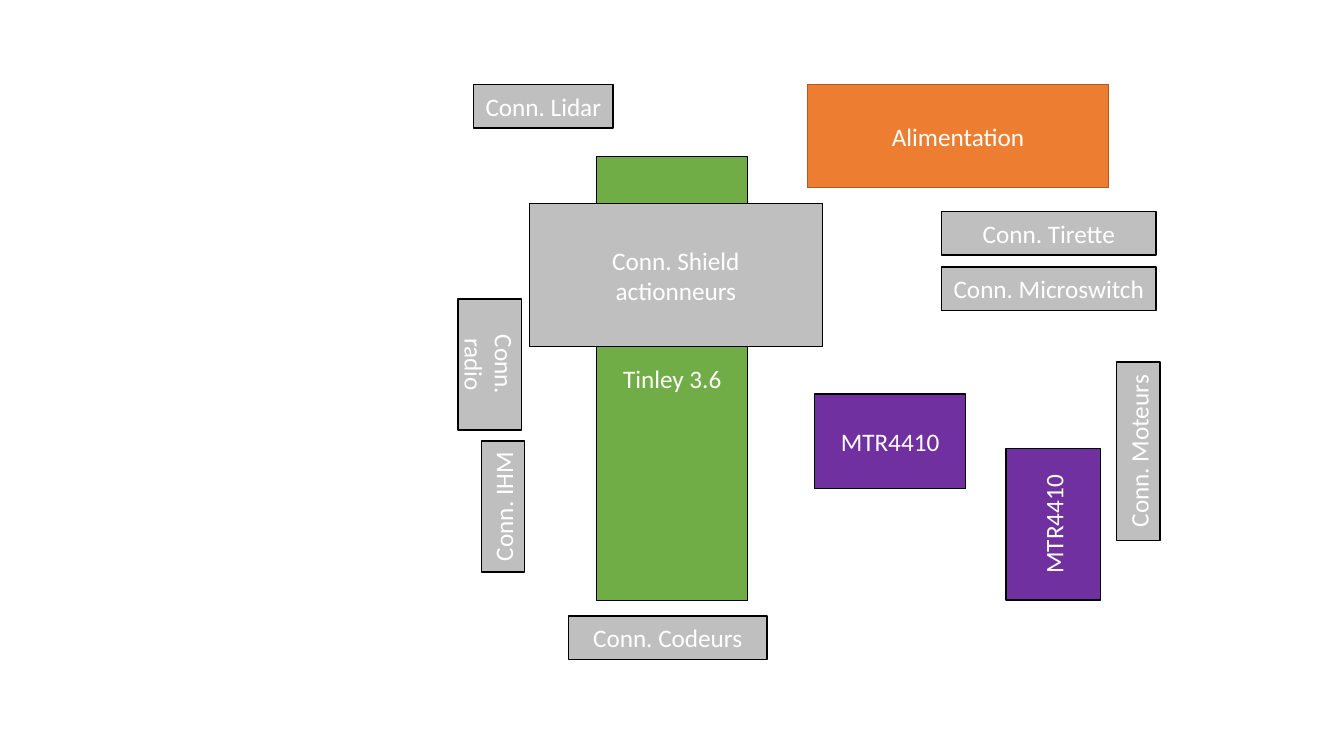
from pptx import Presentation
from pptx.dml.color import RGBColor
from pptx.enum.shapes import MSO_SHAPE
from pptx.enum.text import MSO_ANCHOR, PP_ALIGN
from pptx.util import Pt

BLACK = RGBColor(0x00, 0x00, 0x00)
WHITE = RGBColor(0xFF, 0xFF, 0xFF)
GREEN = RGBColor(0x70, 0xAD, 0x47)
PURPLE = RGBColor(0x70, 0x30, 0xA0)
ORANGE = RGBColor(0xED, 0x7D, 0x31)
DARK_ORANGE = RGBColor(0xAF, 0x5C, 0x24)
GREY = RGBColor(0xBF, 0xBF, 0xBF)

LABEL_FORMAT = {"name": "Calibri", "size": Pt(18)}
DRIVER_SIZE = (108, 67.7)
CONNECTOR_HEIGHT = 31
TOP_ROW = 60.5
SWITCH_LEFT, SWITCH_TOP, SWITCH_PITCH = 672.5, 151.2, 39.6


def write_label(component, label):
    """Centre white text in a component, one paragraph per line."""
    frame = component.text_frame
    frame.word_wrap = True
    frame.vertical_anchor = MSO_ANCHOR.MIDDLE
    frame.text = label
    for paragraph in frame.paragraphs:
        paragraph.alignment = PP_ALIGN.CENTER
        for run in paragraph.runs:
            for attribute, value in LABEL_FORMAT.items():
                setattr(run.font, attribute, value)
            run.font.color.rgb = WHITE


def add_component(slide, label, left, top, width, height, fill,
                  outline=BLACK, rotation=0):
    """Add one labelled rectangle of the board, measured in points."""
    component = slide.shapes.add_shape(
        MSO_SHAPE.RECTANGLE, Pt(left), Pt(top), Pt(width), Pt(height))
    component.rotation = rotation
    component.shadow.inherit = False
    component.fill.solid()
    component.fill.fore_color.rgb = fill
    component.line.color.rgb = outline
    component.line.width = Pt(1)
    write_label(component, label)


def add_driver(slide, left, top, rotation=0):
    """Add a motor driver module."""
    add_component(slide, "MTR4410", left, top, *DRIVER_SIZE, PURPLE,
                  rotation=rotation)


def add_board_connector(slide, label, left, top, width,
                        height=CONNECTOR_HEIGHT, rotation=0):
    """Add a grey connector."""
    add_component(slide, f"Conn. {label}", left, top, width, height, GREY,
                  rotation=rotation)


def main():
    """Build the board layout slide."""
    deck = Presentation()
    deck.slide_width, deck.slide_height = Pt(960), Pt(540)
    board = deck.slides.add_slide(deck.slide_layouts[6])

    add_component(board, "Tinley 3.6", 426.2, 111.6, 108, 317.5, GREEN)
    add_driver(board, 581.8, 281.5)
    add_driver(board, 698.4, 340.6, rotation=270)
    add_component(board, "Alimentation", 576.7, TOP_ROW, 215.3, 73.4, ORANGE,
                  outline=DARK_ORANGE)

    add_board_connector(board, "IHM", 312.5, 346.3, 93.6, rotation=270)
    add_board_connector(board, "Lidar", 338.4, TOP_ROW, 99.4)
    add_board_connector(board, "Shield\nactionneurs", 378, 145.4, 209.5,
                        height=102.2)
    add_board_connector(board, "Codeurs", 406.1, 439.9, 141.8)
    add_board_connector(board, "Moteurs", 749.5, 306.7, 127.4, rotation=270)
    for row, switch in enumerate(("Tirette", "Microswitch")):
        add_board_connector(board, switch, SWITCH_LEFT,
                            SWITCH_TOP + row * SWITCH_PITCH, 153.4)
    add_board_connector(board, "radio", 303.1, 237.6, 93.6, height=45.4,
                        rotation=90)

    deck.save("out.pptx")


main()
